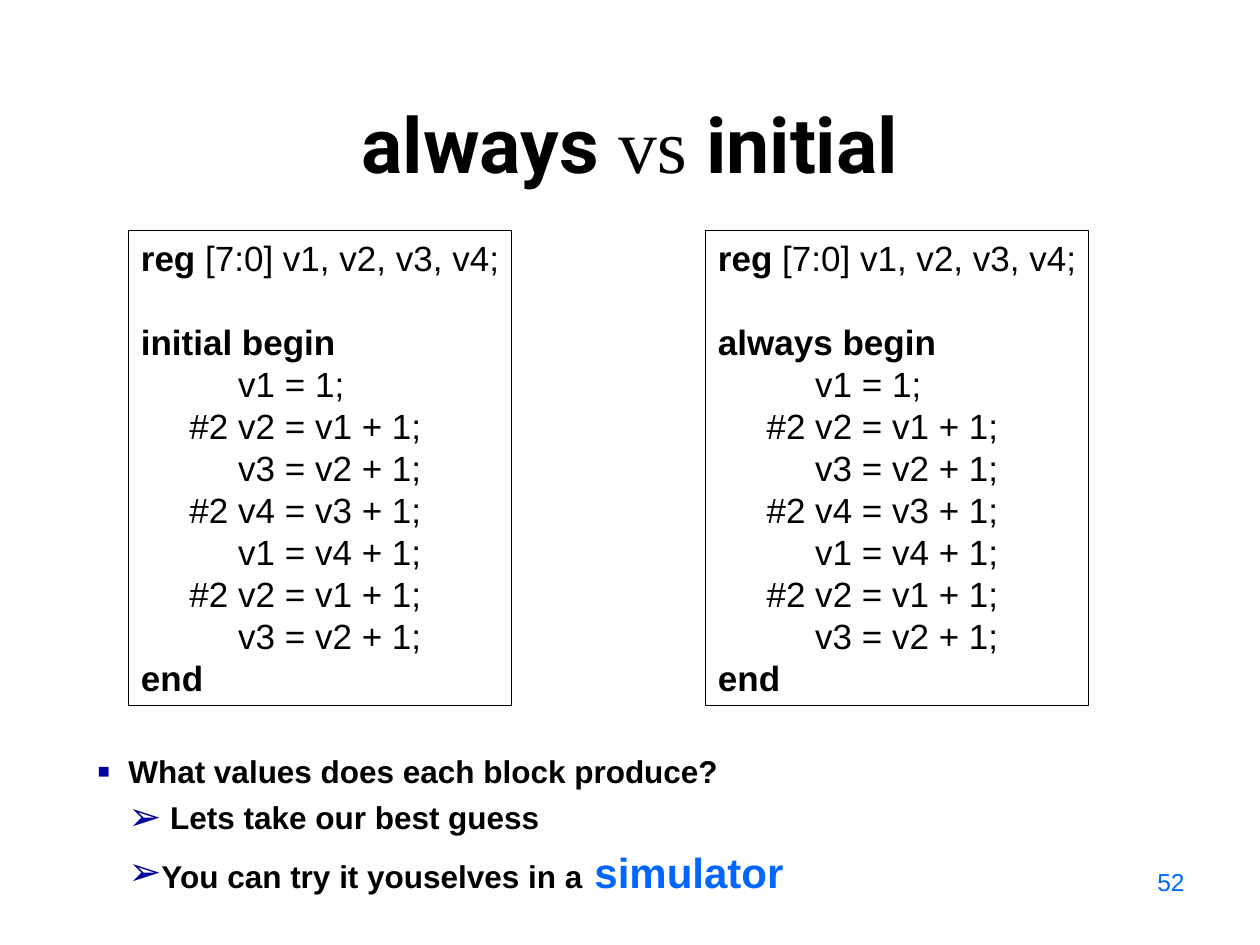
import lxml.etree
import pptx
import pptx.dml.color
import pptx.enum.shapes
import pptx.enum.text
import pptx.oxml.ns
import pptx.util
from pptx.util import Inches

COLORS = {"text": "000000", "accent": "0066FF", "bullet": "0000A0"}
ALIGN = pptx.enum.text.PP_ALIGN
ANCHOR = pptx.enum.text.MSO_ANCHOR
AUTO_SIZE = pptx.enum.text.MSO_AUTO_SIZE

# Each statement with its indent in steps of five spaces.
STATEMENTS = [
    (2, "v1 = 1;"),
    (1, "#2 v2 = v1 + 1;"),
    (2, "v3 = v2 + 1;"),
    (1, "#2 v4 = v3 + 1;"),
    (2, "v1 = v4 + 1;"),
    (1, "#2 v2 = v1 + 1;"),
    (2, "v3 = v2 + 1;"),
]
CODE_STEP = 0.386


def rgb(name):
    return pptx.dml.color.RGBColor.from_string(COLORS[name])


def add_span(para, text, size, bold=False, font="Arial", color="text"):
    """Add a run of text without pair kerning."""
    span = para.add_run()
    span.text = text
    span.font.size = pptx.util.Pt(size)
    span.font.bold = bold
    span.font.name = font
    span.font.color.rgb = rgb(color)
    span._r.get_or_add_rPr().set("kern", "0")


def next_para(frame):
    """Return the empty first paragraph, or a new one after it."""
    first = frame.paragraphs[0]
    return frame.add_paragraph() if first.runs else first


def add_text_box(page, left, top, width, height, anchor=ANCHOR.TOP):
    box = page.shapes.add_textbox(
        Inches(left), Inches(top), Inches(width), Inches(height))
    box.text_frame.word_wrap = True
    box.text_frame.vertical_anchor = anchor
    return box.text_frame


def set_indent(para, left, first=0):
    properties = para._p.get_or_add_pPr()
    properties.set("marL", str(Inches(left)))
    properties.set("indent", str(Inches(first)))
    return properties


def add_bullet_para(frame, symbol, left, space, level=0):
    para = next_para(frame)
    para.level = level
    para.space_before = pptx.util.Pt(space)
    properties = set_indent(para, left, -0.25)

    def add_part(parent, tag, **attributes):
        return lxml.etree.SubElement(
            parent, pptx.oxml.ns.qn(tag), attributes)

    color = add_part(properties, "a:buClr")
    add_part(color, "a:srgbClr", val=COLORS["bullet"])
    add_part(properties, "a:buSzPct", val="125000")
    add_part(properties, "a:buFont", typeface="Arial")
    add_part(properties, "a:buChar", char=symbol)
    return para


def add_code_box(page, left, keyword):
    box = page.shapes.add_shape(
        pptx.enum.shapes.MSO_SHAPE.RECTANGLE,
        Inches(left), Inches(1.83), Inches(3.04), Inches(3.77))
    box.shadow.inherit = False
    box.fill.background()
    box.line.color.rgb = rgb("text")
    box.line.width = pptx.util.Pt(1)
    frame = box.text_frame
    frame.margin_right = 0
    frame.word_wrap = True
    frame.auto_size = AUTO_SIZE.NONE
    frame.vertical_anchor = ANCHOR.TOP

    def add_line(*spans, step=0):
        para = next_para(frame)
        para.alignment = ALIGN.LEFT
        set_indent(para, step * CODE_STEP)
        for text, bold in spans:
            add_span(para, text, 20, bold)
        return para

    add_line(("reg", True), (" [7:0] v1, v2, v3, v4;", False))
    add_line((f"{keyword} begin", True)).space_before = pptx.util.Pt(24)
    for step, statement in STATEMENTS:
        add_line((statement, False), step=step)
    add_line(("end", True))


def add_title(page):
    frame = add_text_box(page, 0.5, 0.3, 9, 1.25, ANCHOR.BOTTOM)
    para = next_para(frame)
    para.alignment = ALIGN.CENTER
    add_span(para, "always ", 44, True, "Roboto")
    add_span(para, "vs ", 44, False, "Times New Roman")
    add_span(para, "initial", 44, True, "Roboto")


def add_questions(page):
    frame = add_text_box(page, 0.67, 5.92, 7.92, 1.25)
    para = add_bullet_para(frame, "▪", 0.25, 4.5)
    add_span(para, "What values does each block produce?", 18, True)
    para = add_bullet_para(frame, "➢", 0.5, 4.5, level=1)
    add_span(para, " Lets take our best guess", 18, True)
    para = add_bullet_para(frame, "➢", 0.5, 6, level=1)
    add_span(para, "You can try it youselves in a", 18, True)
    add_span(para, " simulator", 24, True, color="accent")


def add_page_number(page):
    para = next_para(add_text_box(page, 7.17, 6.83, 2.33, 0.52))
    para.alignment = ALIGN.RIGHT
    add_span(para, "52", 14, color="accent")


def main():
    deck = pptx.Presentation()
    deck.slide_width = Inches(10)
    deck.slide_height = Inches(7.5)
    page = deck.slides.add_slide(deck.slide_layouts[6])
    add_title(page)
    add_code_box(page, 1.02, "initial")
    add_code_box(page, 5.6, "always")
    add_questions(page)
    add_page_number(page)
    deck.save("out.pptx")


if __name__ == "__main__":
    main()
